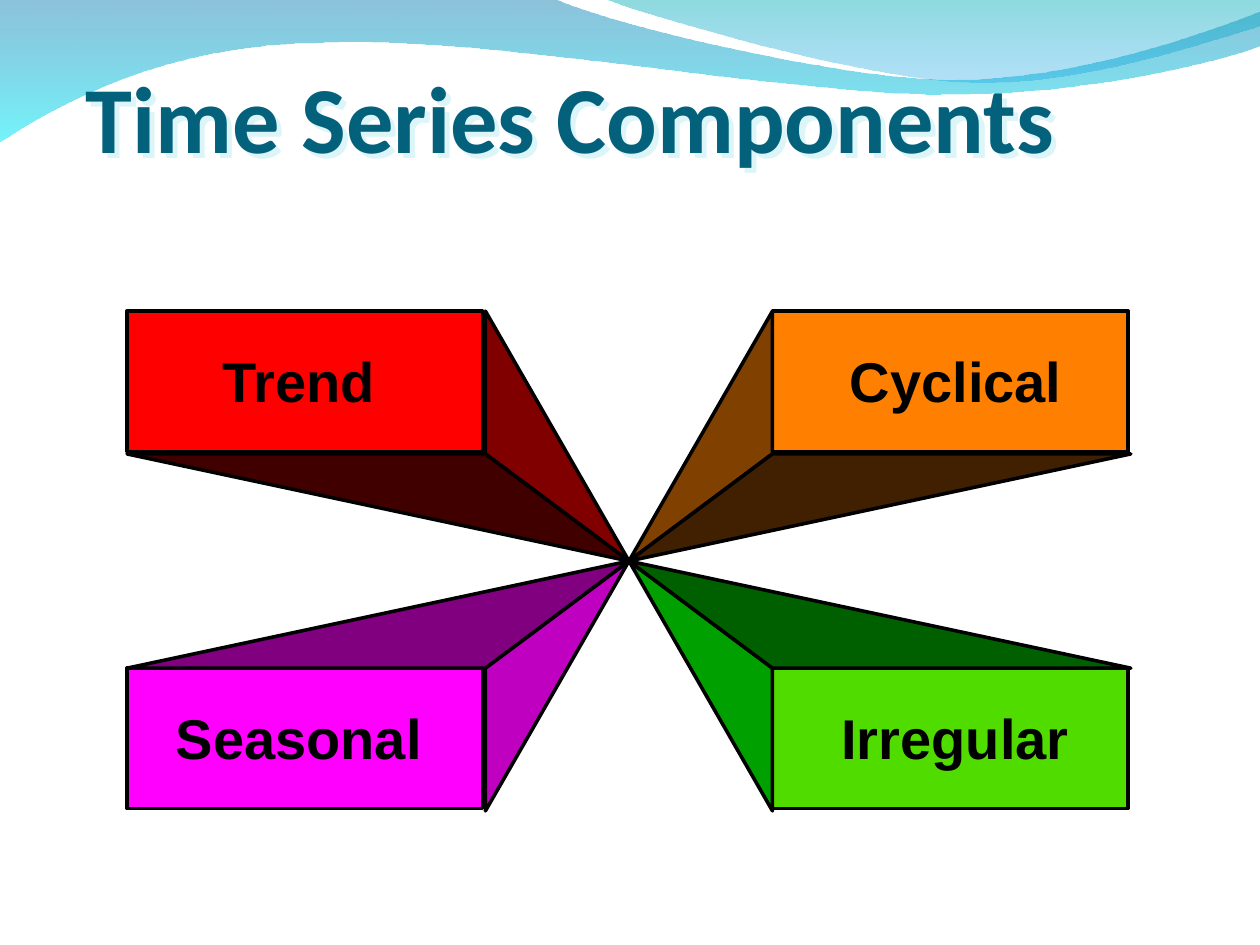
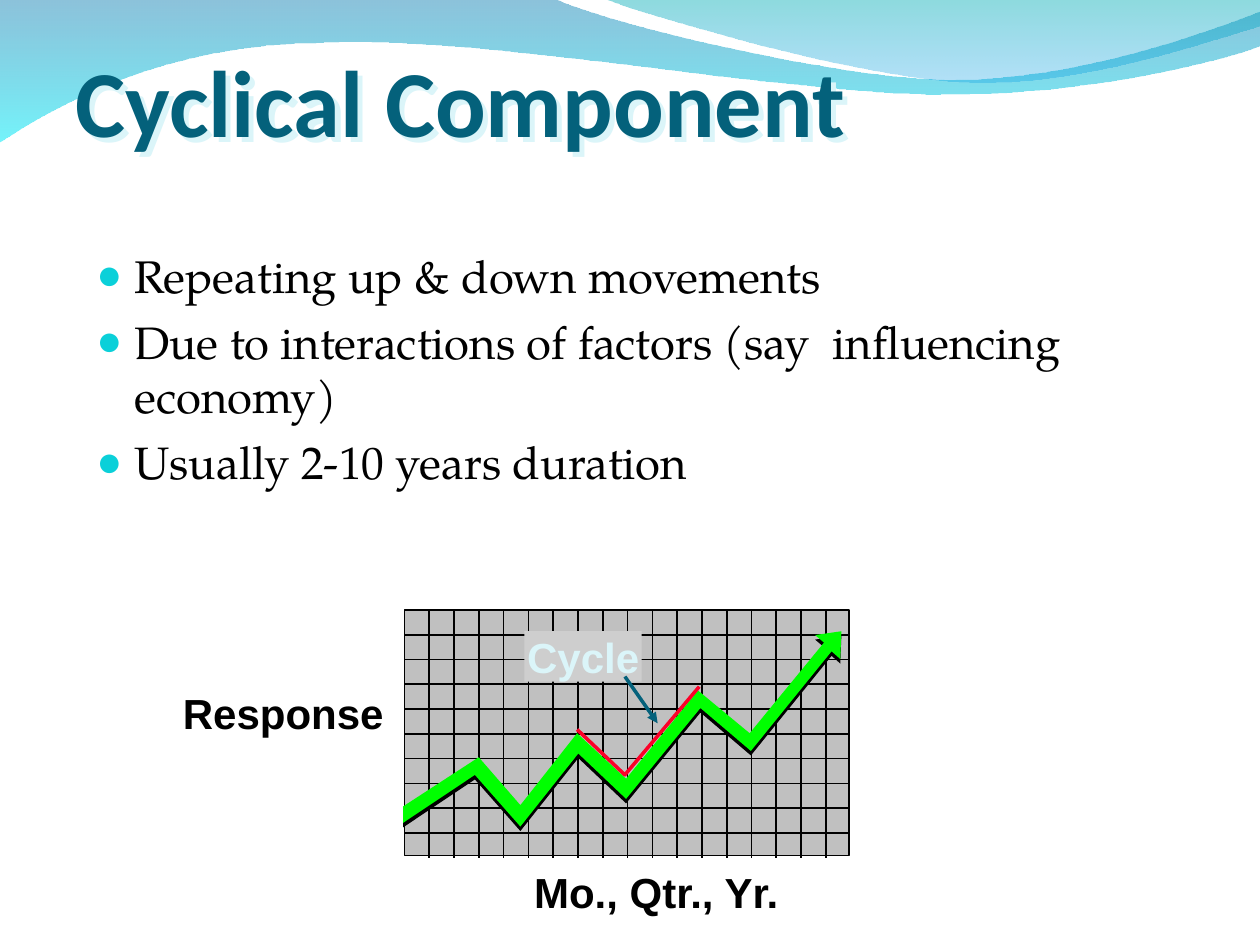
"""Build two slides on time series components under a shared wave header."""
from dataclasses import dataclass

from pptx import Presentation
from pptx.dml.color import RGBColor
from pptx.enum.shapes import MSO_CONNECTOR, MSO_SHAPE
from pptx.enum.text import MSO_ANCHOR, MSO_AUTO_SIZE, PP_ALIGN
from pptx.oxml import parse_xml
from pptx.oxml.ns import nsdecls, qn
from pptx.util import Pt

RECT, STRAIGHT = MSO_SHAPE.RECTANGLE, MSO_CONNECTOR.STRAIGHT
LEFT, CENTER = PP_ALIGN.LEFT, PP_ALIGN.CENTER
TOP, BOTTOM = MSO_ANCHOR.TOP, MSO_ANCHOR.BOTTOM
NO_FIT = MSO_AUTO_SIZE.NONE


@dataclass(frozen=True)
class Theme:
    title_font: str = "Calibri"
    body_font: str = "TeX Gyre Pagella"
    label_font: str = "Arial"
    title_size: float = 54
    body_size: float = 26
    component_size: float = 32
    label_size: float = 24
    ink: str = "000000"
    title: str = "04617B"
    pale: str = "DBF5F9"
    bullet: str = "0BD0D9"
    plot: str = "C0C0C0"
    tag: str = "CECECE"
    trend: str = "00FF00"
    cycle: str = "FC0128"


T = Theme()

WAVES = [
    {"start": (0, -0.7), "stops": [("0079AF", 45), ("00EBF8", 55)], "segments": [
        [(316.8, -0.7)],
        [(342.7, 12.2), (478.1, 45.4), (545.8, 45.4)],
        [(614.2, 45.4), (689.8, 18.7), (720, 6.5)],
        [(720.7, 25.9)],
        [(707.8, 31.7), (626.4, 54.7), (537.1, 54)],
        [(447.8, 54), (275, 20.2), (185, 24.5)],
        [(92.9, 25.2), (33.1, 59.8), (-0.7, 81.4)],
        [(0, -0.7)]]},
    {"start": (344.9, -0.7), "stops": [("00ADB6", 45), ("009BE5", 30)], "segments": [
        [(366.5, 7.9), (491, 44.6), (553.7, 46.8)],
        [(616.3, 49.7), (691.9, 23), (720, 15.1)],
        [(720, 0)],
        [(344.9, -0.7)]]},
]

COMPONENTS_TITLE = "Time Series Components"
COMPONENTS = [
    {"text": "Trend", "dir": (-1, -1), "colors": ("FF0000", "800000", "400000"),
     "label": (113.6, 194.4, 114.5, 45.4)},
    {"text": "Seasonal", "dir": (-1, 1), "colors": ("FF00FF", "C000C0", "800080"),
     "label": (89.5, 398.6, 162.7, 45.4)},
    {"text": "Cyclical", "dir": (1, -1), "colors": ("FF8000", "804000", "402000"),
     "label": (473.8, 194.4, 144.7, 45.4)},
    {"text": "Irregular", "dir": (1, 1), "colors": ("51DC00", "00A000", "006000"),
     "label": (467.3, 398.6, 157, 45.4)},
]
HUB = (359.4, 320.6)
INNER, OUTER = (82, 61.2), (286.8, 142.8)
PANEL = (203.3, 80.2)

CYCLICAL_TITLE = "Cyclical Component"
CYCLICAL_POINTS = [
    "Repeating up & down movements",
    "Due to interactions of factors (say  influencing economy)",
    "Usually 2-10 years duration",
]
AXIS_LABELS = [("Mo., Qtr., Yr.", (287.5, 491.6, 175, 36)),
               ("Response", (89.5, 389.2, 144.7, 36))]
CYCLE_LABEL = ("Cycle", (299.7, 360.7, 67, 28.8))
PLOT = (231.1, 348.5, 254.2, 140.4)
GRID_STEP, GRID_COLUMNS, GRID_ROWS = 14.17, 17, 9
TREND_ARROW = [
    (230.4, 460.8), (273.6, 432.7), (297.4, 460.1), (329.8, 419), (357.8, 445),
    (398.9, 394.6), (428.4, 419), (470.9, 367.2), (465.8, 362.9), (480.8, 360.7),
    (480.2, 376.6), (475.2, 372.2), (429.1, 429.1), (400.3, 404.6), (357.8, 456.5),
    (330.5, 430.6), (297.4, 472.3), (271.4, 442.8), (230.4, 470.2)]
ARROW_SHADE = 2.6
CYCLE_MARK = [(329.8, 416.9), (357.1, 442.8), (399.6, 392.4)]
POINTER = ((357.1, 386.6), (375.8, 413.3))


def rgb(value):
    return RGBColor.from_string(value)


def box(values):
    return [Pt(v) for v in values]


def paint(shape, fill=None, line=None, width=1):
    shape.shadow.inherit = False
    if fill:
        shape.fill.solid()
        shape.fill.fore_color.rgb = rgb(fill)
    else:
        shape.fill.background()
    if line:
        shape.line.color.rgb = rgb(line)
        shape.line.width = Pt(width)
    else:
        shape.line.fill.background()
    return shape


def outline(s, points, close=True, **style):
    start, *rest = [tuple(box(point)) for point in points]
    builder = s.shapes.build_freeform(*start, scale=1)
    builder.add_line_segments(rest, close=close)
    return paint(builder.convert_to_shape(), **style)


def connect(s, start, end, color, width=1, arrow=False):
    line = s.shapes.add_connector(STRAIGHT, *box(start + end))
    line.line.color.rgb = rgb(color)
    line.line.width = Pt(width)
    if arrow:
        line.line._get_or_add_ln().append(
            parse_xml(f'<a:tailEnd {nsdecls("a")} type="triangle"/>'))
    line._element.spPr.append(parse_xml(f'<a:effectLst {nsdecls("a")}/>'))


def write(tf, text, font=T.label_font, size=T.label_size, color=T.ink, bold=True,
          align=CENTER, anchor=BOTTOM, inset=(7.2, 3.6), bullet=None, before=0):
    tf.word_wrap, tf.auto_size, tf.vertical_anchor = True, NO_FIT, anchor
    tf.margin_left = tf.margin_right = Pt(inset[0])
    tf.margin_top = tf.margin_bottom = Pt(inset[1])
    lines = [text] if isinstance(text, str) else text
    for i, line in enumerate(lines):
        p = tf.add_paragraph() if i else tf.paragraphs[0]
        if bullet:
            pPr = p._p.get_or_add_pPr()
            pPr.set("marL", str(Pt(21.6)))
            pPr.set("indent", str(-Pt(21.6)))
            for tag in (f'buClr {nsdecls("a")}><a:srgbClr val="{bullet}"/></a:buClr',
                        f'buSzPct {nsdecls("a")} val="95000"/',
                        f'buFont {nsdecls("a")} typeface="{T.label_font}"/',
                        f'buChar {nsdecls("a")} char="●"/'):
                pPr.append(parse_xml(f"<a:{tag}>"))
        p.alignment, p.space_before = align, Pt(before if i else 0)
        r = p.add_run()
        r.text = line
        r.font.name, r.font.size, r.font.bold = font, Pt(size), bold
        r.font.color.rgb = rgb(color)


def place(shape, bounds):
    shape.left, shape.top, shape.width, shape.height = box(bounds)


def label(s, text, bounds, **style):
    write(s.shapes.add_textbox(*box(bounds)).text_frame, text, **style)


def add_slide(prs, layout, title, bounds):
    s = prs.slides.add_slide(prs.slide_layouts[layout])
    place(s.shapes.title, bounds)
    write(s.shapes.title.text_frame, title, font=T.title_font, size=T.title_size,
          color=T.title, align=LEFT)
    s.shapes.title._element.spPr.append(parse_xml(
        f'<a:effectLst {nsdecls("a")}><a:outerShdw dist="{Pt(4.2)}" dir="2700000" '
        f'algn="tl"><a:srgbClr val="{T.pale}"/></a:outerShdw></a:effectLst>'))
    return s


def bend(shape, segments):
    """Turn the straight sides of a freeform into cubic curves where controls exist."""
    route = shape._element.spPr.find(".//" + qn("a:path"))
    sides = route.findall(qn("a:lnTo"))
    for side, segment in zip(sides, segments):
        if len(segment) == 3:
            points = "".join(f'<a:pt x="{Pt(x) - shape.left}" y="{Pt(y) - shape.top}"/>'
                             for x, y in segment)
            route.replace(side, parse_xml(
                f'<a:cubicBezTo {nsdecls("a")}>{points}</a:cubicBezTo>'))


def add_waves(prs, s):
    tree = prs.slide_master.shapes.element
    for i, wave in enumerate(WAVES):
        ends = [segment[-1] for segment in wave["segments"]]
        shape = outline(s, [wave["start"]] + ends)
        bend(shape, wave["segments"])
        stops = "".join(
            f'<a:gs pos="{pos}"><a:srgbClr val="{color}">'
            f'<a:alpha val="{alpha * 1000}"/></a:srgbClr></a:gs>'
            for pos, (color, alpha) in zip((0, 100000), wave["stops"]))
        spPr = shape._element.spPr
        spPr.replace(spPr.find(qn("a:noFill")), parse_xml(
            f'<a:gradFill {nsdecls("a")}><a:gsLst>{stops}</a:gsLst>'
            '<a:lin ang="5400000" scaled="0"/></a:gradFill>'))
        tree.insert(2 + i, shape._element)


def add_component(s, part):
    (dx, dy), (front, side, floor) = part["dir"], part["colors"]
    inner_x, outer_x = (HUB[0] + dx * reach[0] for reach in (INNER, OUTER))
    inner_y, outer_y = (HUB[1] + dy * reach[1] for reach in (INNER, OUTER))
    corner = (min(inner_x, outer_x), min(inner_y, outer_y))
    edge = {"line": T.ink, "width": 2}
    paint(s.shapes.add_shape(RECT, *box(corner + PANEL)), fill=front, **edge)
    near = (inner_x, inner_y)
    outline(s, [(inner_x, outer_y), HUB, near], fill=side, **edge)
    outline(s, [(outer_x, inner_y), near, HUB], fill=floor, **edge)


def add_cycle_plot(s):
    x, y, w, h = PLOT
    paint(s.shapes.add_shape(RECT, *box(PLOT)), fill=T.plot, line=T.ink)
    for i in range(1, GRID_COLUMNS + 1):
        across = x + i * GRID_STEP
        connect(s, (across, y), (across, y + h + 1.5), T.ink)
    for i in range(1, GRID_ROWS + 1):
        down = y + i * GRID_STEP
        connect(s, (x, down), (x + w + 0.7, down), T.ink)
    outline(s, [(px, py + ARROW_SHADE) for px, py in TREND_ARROW], fill=T.ink)
    outline(s, TREND_ARROW, fill=T.trend)
    for text, bounds in AXIS_LABELS:
        label(s, text, bounds)
    text, bounds = CYCLE_LABEL
    tag = paint(s.shapes.add_shape(RECT, *box(bounds)), fill=T.tag)
    write(tag.text_frame, text, color=T.pale, inset=(0, 0))
    outline(s, CYCLE_MARK, close=False, line=T.cycle, width=2)
    connect(s, *POINTER, T.title, width=2, arrow=True)


def main():
    prs = Presentation()
    prs.slide_width, prs.slide_height = Pt(720), Pt(540)

    s = add_slide(prs, 5, COMPONENTS_TITLE, (41.8, 12.6, 671.8, 89.3))
    add_waves(prs, s)
    for part in COMPONENTS:
        add_component(s, part)
    for part in COMPONENTS:
        label(s, part["text"], part["label"], size=T.component_size)

    s = add_slide(prs, 1, CYCLICAL_TITLE, (36, 2.9, 648, 90))
    body = s.placeholders[1]
    place(body, (47.9, 138, 642.2, 324))
    write(body.text_frame, CYCLICAL_POINTS, font=T.body_font, size=T.body_size,
          bold=False, align=LEFT, anchor=TOP, bullet=T.bullet, before=6.5)
    add_cycle_plot(s)

    prs.save("out.pptx")


if __name__ == "__main__":
    main()
